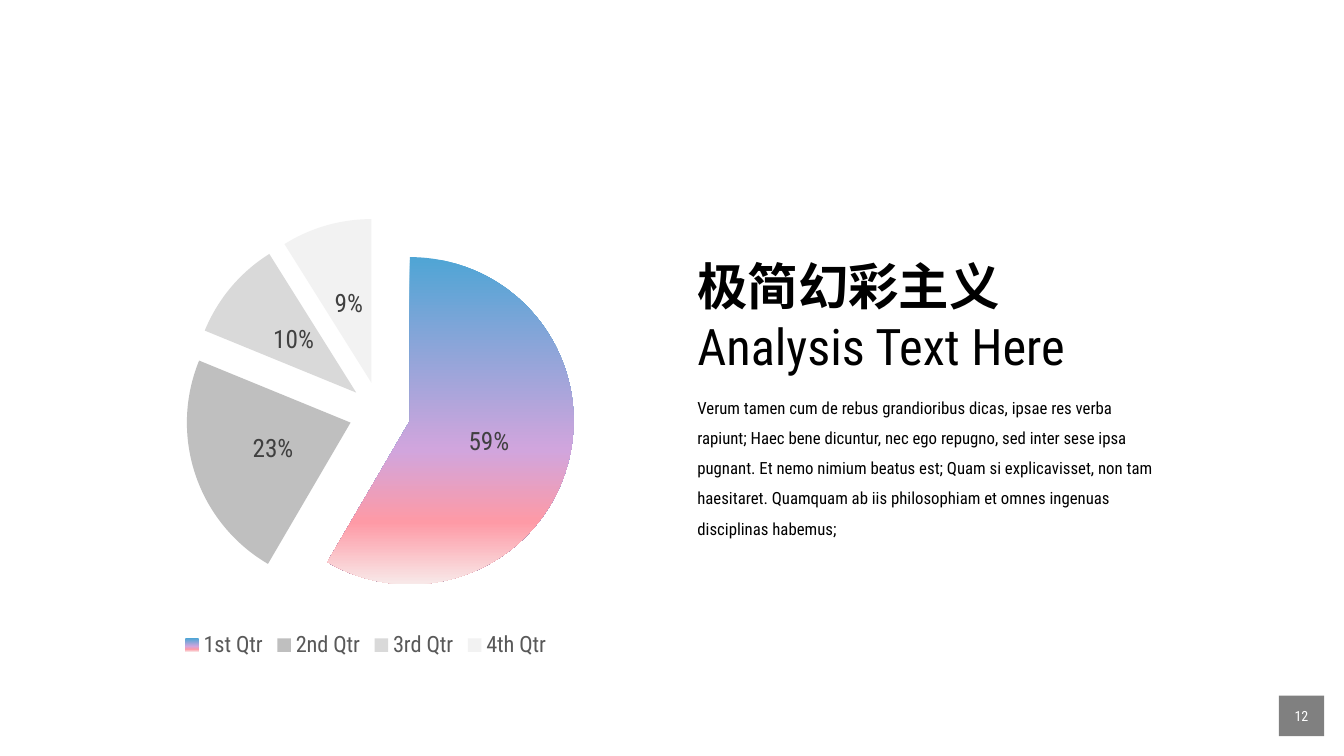
from lxml.etree import SubElement
from pptx import Presentation
from pptx.chart.data import CategoryChartData
from pptx.dml.color import RGBColor
from pptx.enum.chart import XL_CHART_TYPE as Kind, XL_LABEL_POSITION as Spot
from pptx.enum.chart import XL_LEGEND_POSITION as Side
from pptx.enum.shapes import MSO_SHAPE as Form
from pptx.enum.text import MSO_ANCHOR as Anchor, PP_ALIGN as Align
from pptx.oxml import parse_xml
from pptx.oxml.ns import nsdecls, qn
from pptx.util import Cm, Pt

FONT = "Roboto Condensed"
HAN = "Noto Sans CJK JP"
HEADS = [("极简幻彩主义", HAN, True), ("Analysis Text Here", FONT, False)]
BODY = (
    "Verum tamen cum de rebus grandioribus dicas, ipsae res verba rapiunt; "
    "Haec bene dicuntur, nec ego repugno, sed inter sese ipsa pugnant. "
    "Et nemo nimium beatus est; Quam si explicavisset, non tam haesitaret. "
    "Quamquam ab iis philosophiam et omnes ingenuas disciplinas habemus;"
)
PAGE = "12"
SHARES = {"1st Qtr": 59, "2nd Qtr": 23, "3rd Qtr": 10, "4th Qtr": 9}
GRAYS = ["BFBFBF", "D9D9D9", "F2F2F2"]
STOPS = [(0, "4FA5D5"), (59, "D1A5DD"), (81, "FE9AA6"), (100, "F8E9E9")]
BURST = 19


def color(code):
    return RGBColor.from_string(code)


def style(font, size, code, name=FONT, bold=False):
    font.size, font.name, font.bold = Pt(size), name, bold
    font.color.rgb = color(code)


def place(shape, left, top, width, height):
    shape.left, shape.top = Cm(left), Cm(top)
    shape.width, shape.height = Cm(width), Cm(height)


def layout(inner, **parts):
    """Manual chart layout, as fractions of the chart's size."""
    node = parse_xml(f"<c:layout {nsdecls('c')}><c:manualLayout/></c:layout>")
    items = {"layoutTarget": "inner"} if inner else {}
    items |= {"xMode": "edge", "yMode": "edge"} | parts
    for tag, value in items.items():
        SubElement(node[0], qn(f"c:{tag}")).set("val", str(value))
    return node


def add_pie(slide):
    data = CategoryChartData(number_format="General")
    data.categories = list(SHARES)
    data.add_series("Series 1", list(SHARES.values()))
    chart = slide.shapes.add_chart(
        Kind.PIE, Cm(0.41), Cm(4.6), Cm(18.52), Cm(12.34), data).chart
    chart.has_title = False
    style(chart.font, 10, "000000")
    chart.has_legend = True
    legend = chart.legend
    legend.position, legend.include_in_layout = Side.BOTTOM, False
    style(legend.font, 16, "595959")

    plot = chart.plots[0]
    plot.vary_by_categories = True
    series = plot.series[0]
    fill = series.points[0].format.fill
    fill.gradient()
    fill.gradient_angle = 270
    root = chart.element
    ramp = root.find(".//" + qn("a:gsLst"))
    for stop in list(ramp):
        ramp.remove(stop)
    for pos, code in STOPS:
        stop = SubElement(ramp, qn("a:gs"), pos=str(pos * 1000))
        SubElement(stop, qn("a:srgbClr"), val=code)
    for i, code in enumerate(GRAYS, 1):
        fill = series.points[i].format.fill
        fill.solid()
        fill.fore_color.rgb = color(code)

    plot.has_data_labels = True
    labels = plot.data_labels
    labels.show_value, labels.show_percentage = True, False
    labels.number_format, labels.number_format_is_linked = '0"%"', False
    labels.position = Spot.CENTER
    style(labels.font, 18, "404040")

    burst = parse_xml(f'<c:explosion {nsdecls("c")} val="{BURST}"/>')
    root.find(".//" + qn("c:dPt")).addprevious(burst)
    area = root.find(".//" + qn("c:plotArea"))
    for old in area.findall(qn("c:layout")):
        area.remove(old)
    area.insert(0, layout(True, x=0.23, y=0.07, w=0.53, h=0.8))
    key = root.find(".//" + qn("c:legend"))
    for old in key.findall(qn("c:layout")):
        key.remove(old)
    key.find(qn("c:legendPos")).addnext(layout(False, x=0.22, y=0.91))


def add_texts(slide):
    title, body = slide.shapes.title, slide.placeholders[1]
    place(title, 17.32, 6.3, 11.1, 3.33)
    place(body, 17.32, 9.63, 12.22, 4.01)
    frame = title.text_frame
    frame.word_wrap, frame.vertical_anchor = False, Anchor.TOP
    frame.text = "\n".join(text for text, _, _ in HEADS)
    for para, (_, name, bold) in zip(frame.paragraphs, HEADS):
        para.alignment = Align.LEFT
        style(para.font, 36, "000000", name, bold)
        props = para._p.pPr.find(qn("a:defRPr"))
        SubElement(props, qn("a:ea"), typeface=name)

    body.text_frame.text = BODY
    para = body.text_frame.paragraphs[0]
    props = para._p.get_or_add_pPr()
    props.set("marL", "0")
    props.set("indent", "0")
    SubElement(props, qn("a:buNone"))
    para.line_spacing, para.space_before = 1.5, Pt(0)
    style(para.font, 12, "000000")


def add_page(slide):
    box = slide.shapes.add_shape(
        Form.RECTANGLE, Cm(32.23), Cm(17.53), Cm(1.14), Cm(1.02))
    box.shadow.inherit = False
    box.fill.solid()
    box.fill.fore_color.rgb = color("808080")
    box.line.fill.background()
    frame = box.text_frame
    frame.margin_left = frame.margin_right = 0
    frame.vertical_anchor = Anchor.MIDDLE
    frame.text = PAGE
    para = frame.paragraphs[0]
    para.alignment = Align.CENTER
    style(para.font, 10, "FFFFFF")


def main():
    deck = Presentation()
    deck.slide_width, deck.slide_height = Cm(33.87), Cm(19.05)
    slide = deck.slides.add_slide(deck.slide_layouts[1])
    add_pie(slide)
    add_texts(slide)
    add_page(slide)
    deck.save("out.pptx")


if __name__ == "__main__":
    main()
